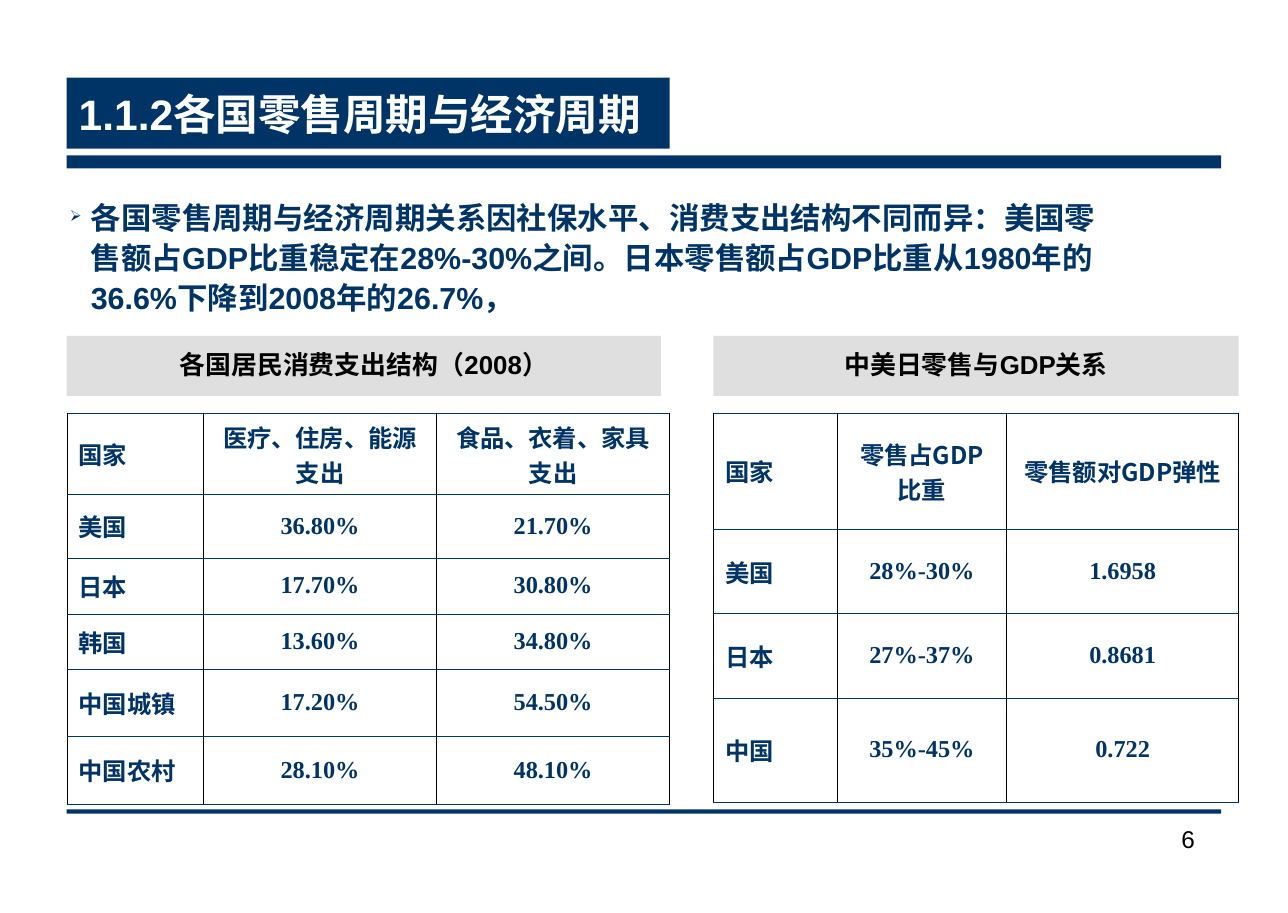
from lxml import etree
from pptx import Presentation
from pptx import util as u
from pptx.dml.color import RGBColor
from pptx.enum import shapes, text
from pptx.oxml import ns

PX = 9144  # one px is a hundredth of an inch
NAVY, GREY, BLACK, WHITE = "003366", "DFDFDF", "000000", "FFFFFF"
CJK = "Noto Sans CJK SC"
LEFT, CENTER, RIGHT = text.PP_ALIGN.LEFT, text.PP_ALIGN.CENTER, text.PP_ALIGN.RIGHT

EXPENSES = [
    ["国家", "医疗、住房、能源\n支出", "食品、衣着、家具\n支出"],
    ["美国", "36.80%", "21.70%"],
    ["日本", "17.70%", "30.80%"],
    ["韩国", "13.60%", "34.80%"],
    ["中国城镇", "17.20%", "54.50%"],
    ["中国农村", "28.10%", "48.10%"],
]
RETAIL = [
    ["国家", "零售占GDP\n比重", "零售额对GDP弹性"],
    ["美国", "28%-30%", "1.6958"],
    ["日本", "27%-37%", "0.8681"],
    ["中国", "35%-45%", "0.722"],
]


def px(*lengths):
    return [u.Emu(length * PX) for length in lengths]


def color(hex_code):
    return RGBColor.from_string(hex_code)


def add_xml(parent, tag, **attributes):
    return etree.SubElement(parent, ns.qn(tag), attributes)


def format_para(para, size, hex_code, align=LEFT, font="Arial", bold=True):
    para.alignment = align
    para.font.size = u.Pt(size)
    para.font.bold = bold
    para.font.name = font
    para.font.color.rgb = color(hex_code)
    # East Asian glyphs take their own typeface
    add_xml(para.font._element, "a:ea", typeface=CJK)


def set_frame(frame, anchor, wrap=True):
    frame.auto_size = text.MSO_AUTO_SIZE.NONE
    frame.word_wrap = wrap
    frame.vertical_anchor = anchor
    frame.margin_left, frame.margin_right = px(11, 11)
    frame.margin_top, frame.margin_bottom = px(6, 6)


def add_bar(page, box, fill):
    bar = page.shapes.add_shape(shapes.MSO_SHAPE.RECTANGLE, *px(*box))
    bar.shadow.inherit = False
    bar.fill.solid()
    bar.fill.fore_color.rgb = color(fill)
    bar.line.fill.background()
    return bar


def add_title(page, box, words):
    title = page.shapes.title
    title.left, title.top, title.width, title.height = px(*box)
    title.fill.solid()
    title.fill.fore_color.rgb = color(NAVY)
    set_frame(title.text_frame, text.MSO_ANCHOR.MIDDLE)
    title.text_frame.text = words
    format_para(title.text_frame.paragraphs[0], 28, WHITE)


def add_text(page, box, words):
    frame = page.shapes.add_textbox(*px(*box)).text_frame
    set_frame(frame, text.MSO_ANCHOR.TOP)
    frame.text = words
    return frame.paragraphs[0]


def add_summary(page, box, words):
    para = add_text(page, box, words)
    props = para._p.get_or_add_pPr()
    indent = 19 * PX
    props.set("marL", str(indent))
    props.set("indent", str(-indent))
    add_xml(add_xml(props, "a:buClr"), "a:srgbClr", val=NAVY)
    add_xml(props, "a:buSzPct", val="50000")
    add_xml(props, "a:buChar", char="➢")
    para.line_spacing = 1.1
    para.space_before = para.space_after = u.Pt(5)
    format_para(para, 20, NAVY)


def add_borders(cell, top, bottom):
    props = cell._tc.get_or_add_tcPr()
    sides = (("L", BLACK, 0.34), ("R", BLACK, 0.34), ("T", NAVY, top), ("B", NAVY, bottom))
    for side, hex_code, points in sides:
        line = add_xml(props, "a:ln" + side, w=str(int(u.Pt(points))))
        add_xml(add_xml(line, "a:solidFill"), "a:srgbClr", val=hex_code)


def format_cell(cell, words, row, column):
    cell.text = words
    cell.vertical_anchor = text.MSO_ANCHOR.MIDDLE
    cell.margin_left, cell.margin_right = px(11, 11)
    cell.margin_top, cell.margin_bottom = px(5, 5)
    add_borders(cell, 0.45 if row < 2 else 0.06, 0.45 if row == 0 else 0.06)
    cell.fill.background()
    is_number = row > 0 and column > 0
    for para in cell.text_frame.paragraphs:
        format_para(para, 16, NAVY, CENTER if column else LEFT,
                    "Times New Roman" if is_number else CJK)


def add_panel(page, box, caption, caption_width, rows, widths, heights):
    """A grey caption with its table below."""
    left, top, width, height = box
    bar = add_bar(page, (left, top, caption_width, 55), GREY)
    set_frame(bar.text_frame, text.MSO_ANCHOR.MIDDLE, wrap=False)
    bar.text_frame.text = caption
    para = bar.text_frame.paragraphs[0]
    para.line_spacing = 0.9
    format_para(para, 17, BLACK, CENTER)

    frame = page.shapes.add_table(len(rows), len(widths), *px(left, top + 71, width, height - 71))
    table = frame.table
    table.first_row = table.horz_banding = False
    for column, length in zip(table.columns, px(*widths)):
        column.width = length
    for row, length in zip(table.rows, px(*heights)):
        row.height = length
    for i, row in enumerate(rows):
        for j, words in enumerate(row):
            format_cell(table.cell(i, j), words, i, j)


def main():
    deck = Presentation()
    # Custom page size, so the default 4:3 marker goes
    deck.slide_width, deck.slide_height = u.Pt(847.5), u.Pt(601)
    deck.element.sldSz.attrib.pop("type", None)
    page = deck.slides.add_slide(deck.slide_layouts[5])

    # Heading and rules
    add_bar(page, (61, 142, 1055, 12), NAVY)
    add_bar(page, (61, 740, 1055, 4), NAVY)
    add_title(page, (61, 71, 551, 65), "1.1.2各国零售周期与经济周期")

    # Summary
    add_summary(page, (53, 173, 984, 126),
                "各国零售周期与经济周期关系因社保水平、消费支出结构不同而异：美国零售额占GDP比重稳定在"
                "28%-30%之间。日本零售额占GDP比重从1980年的36.6%下降到2008年的26.7%，")

    # Captioned tables
    add_panel(page, (61, 307, 551, 425), "各国居民消费支出结构（2008）", 543,
              EXPENSES, (125, 213, 213), (71, 58, 51, 51, 61, 62))
    add_panel(page, (652, 307, 480, 426), "中美日零售与GDP关系", 480,
              RETAIL, (113, 155, 212), (106, 77, 77, 95))

    # Page number
    number = add_text(page, (1014, 748, 89, 58), "6")
    format_para(number, 16, BLACK, RIGHT, bold=False)

    deck.save("out.pptx")


if __name__ == "__main__":
    main()
